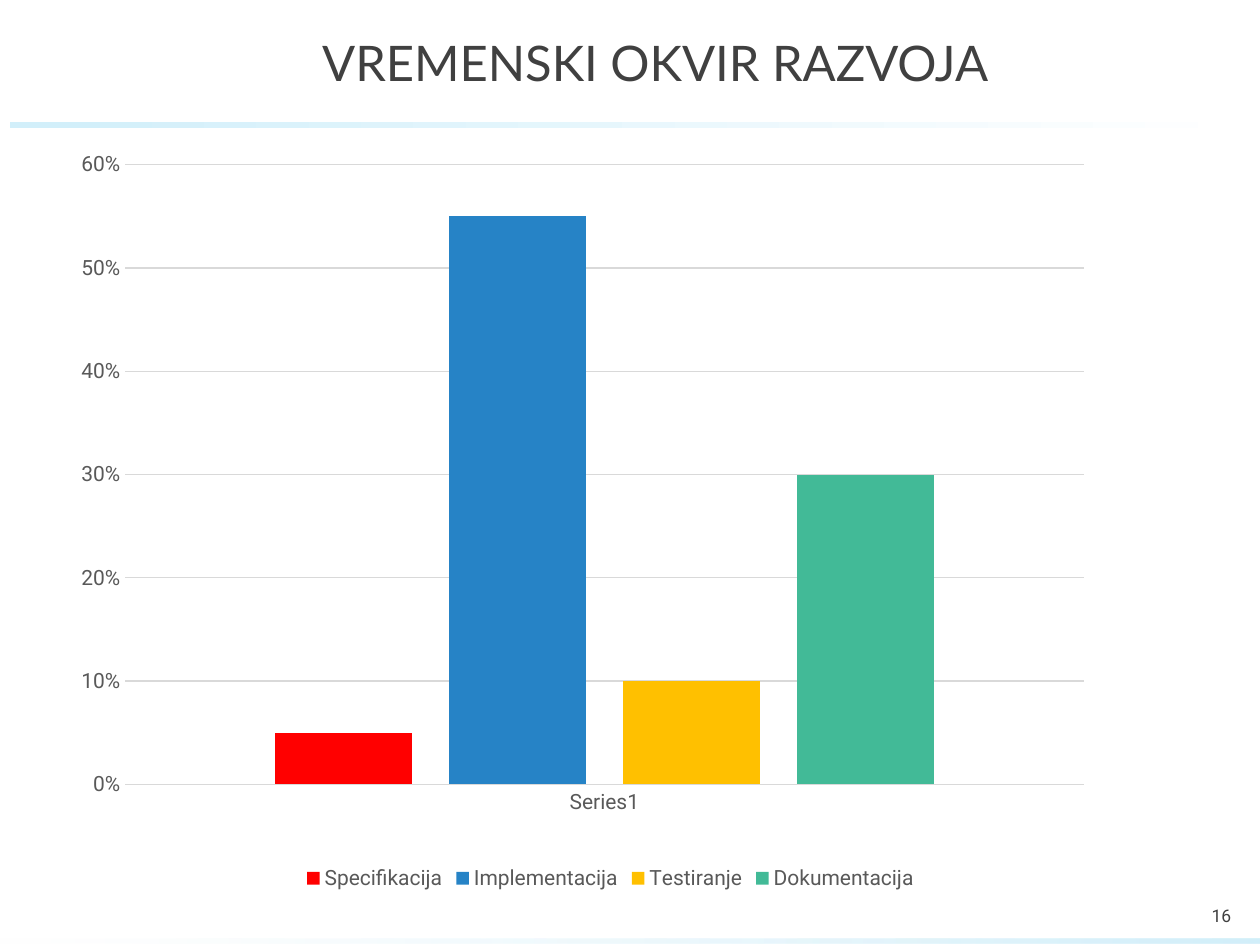
from lxml import etree
from pptx import Presentation
from pptx.chart.data import CategoryChartData
from pptx.dml.color import RGBColor
from pptx.enum.chart import XL_CHART_TYPE, XL_LEGEND_POSITION, XL_TICK_MARK
from pptx.enum.shapes import MSO_SHAPE
from pptx.enum.text import MSO_ANCHOR, PP_ALIGN
from pptx.oxml.ns import qn
from pptx.util import Inches, Pt

COLUMNS = XL_CHART_TYPE.COLUMN_CLUSTERED
BOTTOM = XL_LEGEND_POSITION.BOTTOM
NO_TICK = XL_TICK_MARK.NONE
RECTANGLE = MSO_SHAPE.RECTANGLE
MIDDLE = MSO_ANCHOR.MIDDLE
CENTER, RIGHT = PP_ALIGN.CENTER, PP_ALIGN.RIGHT

COLORS = {
    "white": "FFFFFF",
    "ice": "D2EFFA",
    "text": "404040",
    "label": "595959",
    "grid": "D9D9D9",
    "red": "FF0000",
    "blue": "2683C6",
    "amber": "FFC000",
    "green": "42BA97",
}
PHASES = [
    ("Specifikacija", 0.05, "red"),
    ("Implementacija", 0.55, "blue"),
    ("Testiranje", 0.1, "amber"),
    ("Dokumentacija", 0.3, "green"),
]
PLOT_LAYOUT = {
    "layoutTarget": "inner", "xMode": "edge", "yMode": "edge",
    "x": 0.096, "y": 0.041, "w": 0.798, "h": 0.813,
}


def color(name):
    return RGBColor.from_string(COLORS[name])


def inches(box):
    return [Inches(length) for length in box]


def apply(target, values):
    for name, value in values.items():
        setattr(target, name, value)


def format_font(font, size, face, color_name):
    apply(font, {"size": Pt(size), "name": face, "bold": False})
    font.color.rgb = color(color_name)


def format_line(line, color_name):
    line.color.rgb = color(color_name)
    line.width = Pt(0.75)


def write_text(shape, box, text, align, size, face):
    apply(shape, dict(zip(("left", "top", "width", "height"), inches(box))))
    frame = shape.text_frame
    apply(frame, {"word_wrap": True, "vertical_anchor": MIDDLE})
    para = frame.paragraphs[0]
    para.alignment = align
    span = para.add_run()
    span.text = text
    format_font(span.font, size, face, "text")


def add_gradient_bar(page, box, start, end, start_opacity=100):
    bar = page.shapes.add_shape(RECTANGLE, *inches(box))
    bar.shadow.inherit = False
    bar.line.fill.background()
    bar.fill.gradient()
    bar.fill.gradient_angle = 0
    for stop, position, name in zip(bar.fill.gradient_stops, (0.03, 1), (start, end)):
        stop.position = position
        stop.color.rgb = color(name)
    if start_opacity < 100:
        first_color = next(bar.fill._xPr.iter(qn("a:srgbClr")))
        alpha = etree.SubElement(first_color, qn("a:alpha"))
        alpha.set("val", str(start_opacity * 1000))


def place_plot(chart):
    plot_area = chart._chartSpace.chart.plotArea
    for old_layout in plot_area.findall(qn("c:layout")):
        plot_area.remove(old_layout)
    layout = etree.Element(qn("c:layout"))
    manual = etree.SubElement(layout, qn("c:manualLayout"))
    for name, value in PLOT_LAYOUT.items():
        etree.SubElement(manual, qn(f"c:{name}")).set("val", str(value))
    plot_area.insert(0, layout)


def add_phase_chart(page, box):
    data = CategoryChartData(number_format="0%")
    data.categories = ["Series1"]
    for name, share, _ in PHASES:
        data.add_series(name, [share])
    chart = page.shapes.add_chart(COLUMNS, *inches(box), data).chart
    format_font(chart.font, 10, "Roboto", "label")
    apply(chart, {"has_title": False, "has_legend": True})
    apply(chart.legend, {"position": BOTTOM, "include_in_layout": False})
    format_font(chart.legend.font, 12, "Roboto", "label")

    plot = chart.plots[0]
    apply(plot, {"gap_width": 219, "overlap": -27, "vary_by_categories": False})
    for series, (_, _, color_name) in zip(plot.series, PHASES):
        series.invert_if_negative = False
        series.format.fill.solid()
        series.format.fill.fore_color.rgb = color(color_name)

    for axis in (chart.category_axis, chart.value_axis):
        apply(axis, {"major_tick_mark": NO_TICK, "minor_tick_mark": NO_TICK})
        format_font(axis.tick_labels.font, 12, "Roboto", "label")
    format_line(chart.category_axis.format.line, "grid")
    shares = chart.value_axis
    apply(shares, {"minimum_scale": 0, "maximum_scale": 0.6, "major_unit": 0.1,
                   "has_major_gridlines": True})
    apply(shares.tick_labels, {"number_format": "0%", "number_format_is_linked": False})
    shares.format.line.fill.background()
    format_line(shares.major_gridlines.format.line, "grid")
    place_plot(chart)


def add_page_number(page, box, number):
    number_box = page.shapes.add_textbox(*inches(box))
    write_text(number_box, box, number, RIGHT, 10, "Roboto")


def main():
    deck = Presentation()
    apply(deck, {"slide_width": Inches(10), "slide_height": Inches(7.5)})
    page = deck.slides.add_slide(deck.slide_layouts[5])
    page.background.fill.solid()
    page.background.fill.fore_color.rgb = color("white")
    add_gradient_bar(page, (0.08, 0.97, 9.84, 0.05), "ice", "white")
    add_gradient_bar(page, (0, 7.45, 10, 0.04), "white", "ice", 56)
    write_text(page.shapes.title, (0.87, 0.04, 8.66, 0.91),
               "VREMENSKI OKVIR RAZVOJA", CENTER, 28, "Lato")
    add_phase_chart(page, (0.08, 1.06, 9.53, 6.05))
    add_page_number(page, (9.35, 7.11, 0.52, 0.31), "16")
    deck.save("out.pptx")


if __name__ == "__main__":
    main()
